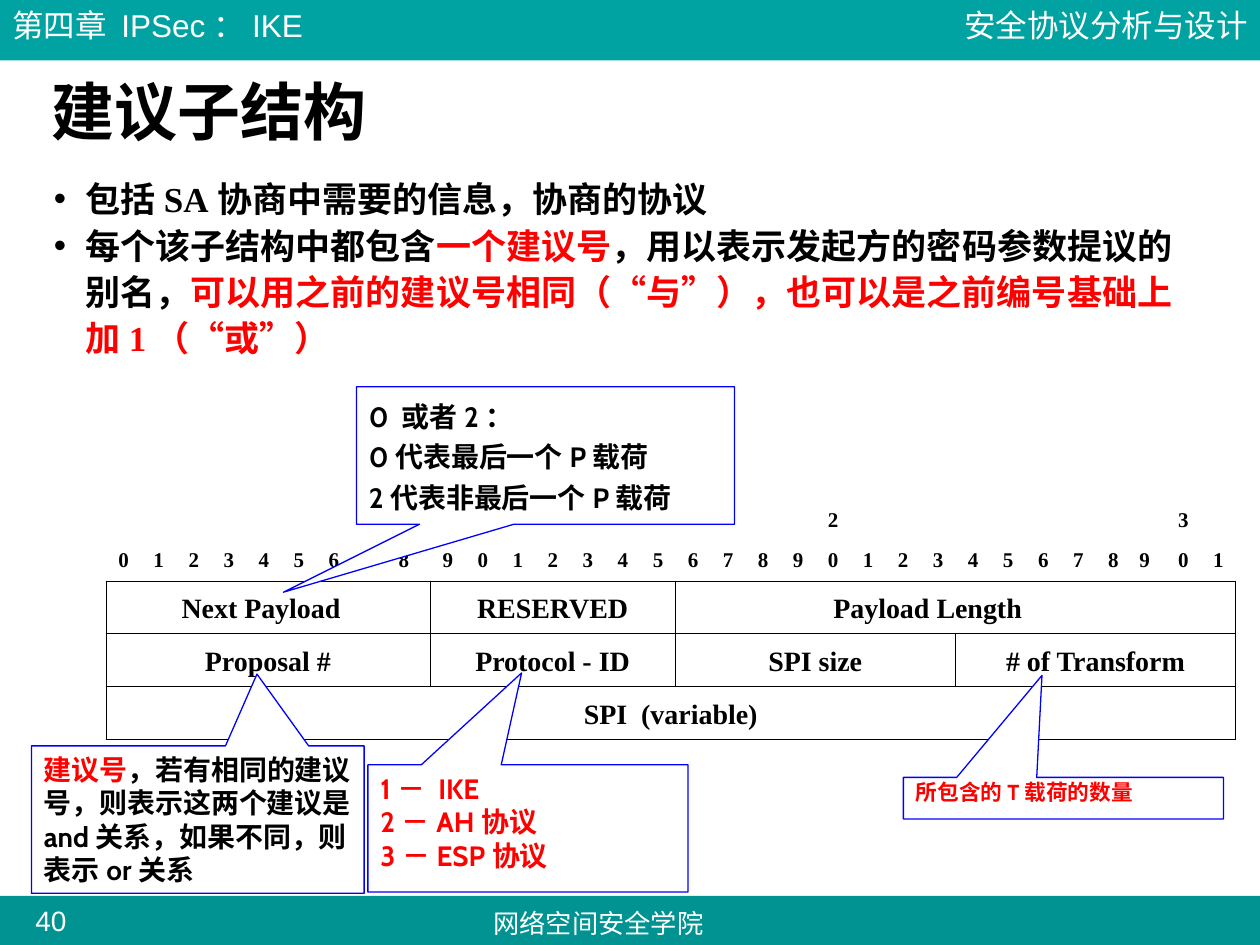
from lxml.etree import SubElement, Element
from pptx import Presentation
from pptx.dml.color import RGBColor
from pptx.enum.shapes import MSO_SHAPE
from pptx.enum.text import MSO_ANCHOR, PP_ALIGN
from pptx.oxml.ns import qn
from pptx.util import Inches, Pt

SERIF, SANS, ROUND = "Times New Roman", "Arial", "Cabin"
BLACK, WHITE, RED, BLUE = "000000", "FFFFFF", "FF0000", "0000FF"
INSETS = (0.1, 0.05, 0.1, 0.05)
BITS = 32


def color(value):
    return RGBColor.from_string(value)


def add_bullet(para, indent):
    props = para._p.get_or_add_pPr()
    props.set("marL", str(Inches(indent)))
    props.set("indent", str(-Inches(indent)))
    SubElement(SubElement(props, qn("a:buClr")), qn("a:srgbClr"), val=BLACK)
    SubElement(props, qn("a:buFont"), typeface=SANS)
    SubElement(props, qn("a:buChar"), char="•")


def write(frame, paragraphs, size=16, font=SERIF, fill=BLACK, bold=True,
          align=PP_ALIGN.LEFT, spacing=None, after=None, bullet=None):
    """Each paragraph is a string or a list of (text, overrides) spans."""
    for index, spans in enumerate(paragraphs):
        para = frame.paragraphs[0] if index == 0 else frame.add_paragraph()
        para.alignment = align
        if spacing:
            para.line_spacing = spacing
        if after:
            para.space_after = Pt(after)
        if bullet:
            add_bullet(para, bullet)
        for text, changes in [(spans, {})] if isinstance(spans, str) else spans:
            span = para.add_run()
            span.text = text
            span.font.size = Pt(size)
            span.font.bold = bold
            span.font.name = changes.get("font", font)
            span.font.color.rgb = color(changes.get("fill", fill))


def set_insets(target, insets=INSETS):
    (target.margin_left, target.margin_top,
     target.margin_right, target.margin_bottom) = map(Inches, insets)


def add_text(page, box, paragraphs, insets=INSETS, anchor=MSO_ANCHOR.TOP, **style):
    frame = page.shapes.add_textbox(*map(Inches, box)).text_frame
    frame.word_wrap = True
    frame.vertical_anchor = anchor
    set_insets(frame, insets)
    write(frame, paragraphs, **style)


def add_bar(page, box, fill):
    bar = page.shapes.add_shape(MSO_SHAPE.RECTANGLE, *map(Inches, box))
    bar.shadow.inherit = False
    bar.fill.solid()
    bar.fill.fore_color.rgb = color(fill)
    bar.line.fill.background()


# Header and footer bands
def add_header(page, box):
    left, top, width, height = box
    add_bar(page, box, "00A3A1")
    label = 3.08
    style = dict(size=18, font=SANS, fill=WHITE, bold=False)
    add_text(page, (left, top, label, 0.4), ["第四章 IPSec：IKE"], **style)
    add_text(page, (left + width - label, top, label, 0.4), ["安全协议分析与设计"],
             align=PP_ALIGN.RIGHT, **style)


def add_footer(page, box):
    left, top, width, height = box
    add_bar(page, box, "009391")
    style = dict(font=SANS, fill=WHITE, bold=False, align=PP_ALIGN.CENTER)
    add_text(page, (left + 3.58, top + 0.04, 2.34, 0.35), ["网络空间安全学院"],
             size=15, **style)
    add_text(page, (left + 0.14, top + 0.06, 0.53, 0.27), ["40"],
             insets=(0, 0, 0, 0), size=16, **style)


# Bit layout of the proposal payload
def set_borders(cell, visible):
    props = cell._tc.get_or_add_tcPr()
    for index, side in enumerate("LRTB"):
        edge = Element(qn(f"a:ln{side}"), w=str(Pt(0.45)))
        if side in visible:
            SubElement(SubElement(edge, qn("a:solidFill")), qn("a:srgbClr"), val=BLACK)
        else:
            SubElement(edge, qn("a:noFill"))
        props.insert(index, edge)


def add_field(table, row, first, length, text, extra_right=0):
    cell = table.cell(row, first)
    if length > 1:
        cell.merge(table.cell(row, first + length - 1))
    header = row < 2
    left, top, right, bottom = INSETS
    set_insets(cell, (left, top, right + extra_right, bottom))
    if header:
        align = PP_ALIGN.RIGHT if length > 1 else PP_ALIGN.LEFT
    else:
        align = PP_ALIGN.CENTER
    write(cell.text_frame, [text], size=12 if header else 16,
          align=align, spacing=1.2, after=1.5 if header else 2)


def add_payload_table(page, box):
    heights = [0.34, 0.34, 0.42, 0.42, 0.42]
    table = page.shapes.add_table(len(heights), BITS, *map(Inches, box)).table
    table.first_row = table.horz_banding = False
    for column in table.columns:
        column.width = Inches(box[2] / BITS)
    for index, change in ((28, -0.03), (29, 0.03)):
        table.columns[index].width += Inches(change)
    for row, height in enumerate(heights):
        table.rows[row].height = Inches(height)
        for bit in range(BITS):
            cell = table.cell(row, bit)
            cell.fill.background()
            cell.vertical_anchor = MSO_ANCHOR.BOTTOM if row == 0 else MSO_ANCHOR.TOP
            set_borders(cell, ("", "B")[row] if row < 2 else "LRTB")
            # Empty cells keep a small line height
            SubElement(cell.text_frame.paragraphs[0]._p, qn("a:endParaRPr"), sz="1200")

    fields = [(0, 0, 11, "1"), (0, 20, 1, "2"), (0, 30, 1, "3")]
    fields += [(1, bit, 1, str(bit % 10)) for bit in range(BITS)]
    fields += [
        (2, 0, 9, "Next Payload", 0.11), (2, 9, 7, "RESERVED"),
        (2, 16, 16, "Payload Length", 0.44),
        (3, 0, 9, "Proposal #"), (3, 9, 7, "Protocol - ID"),
        (3, 16, 8, "SPI size"), (3, 24, 8, "# of Transform"),
        (4, 0, 32, "SPI  (variable)"),
    ]
    for field in fields:
        add_field(table, *field)


# Callouts pointing at the fields
def add_callout(page, box, tip, paragraphs, **style):
    left, top, width, height = box
    callout = page.shapes.add_shape(MSO_SHAPE.RECTANGULAR_CALLOUT, *map(Inches, box))
    callout.shadow.inherit = False
    callout.adjustments[0] = (tip[0] - left) / width - 0.5
    callout.adjustments[1] = (tip[1] - top) / height - 0.5
    callout.fill.solid()
    callout.fill.fore_color.rgb = color(WHITE)
    callout.line.color.rgb = color(BLUE)
    callout.line.width = Pt(0.75)
    frame = callout.text_frame
    frame.word_wrap = True
    frame.vertical_anchor = MSO_ANCHOR.TOP
    set_insets(frame)
    write(frame, paragraphs, font=ROUND, **style)


def main():
    deck = Presentation()
    deck.slide_width, deck.slide_height = Inches(10), Inches(7.5)
    page = deck.slides.add_slide(deck.slide_layouts[6])
    red = {"fill": RED}

    add_footer(page, (0, 7.11, 10, 0.42))
    add_header(page, (0, 0, 10, 0.48))
    add_text(page, (0.31, 0.58, 9.02, 0.67), ["建议子结构"], size=36,
             spacing=0.9, anchor=MSO_ANCHOR.MIDDLE)
    add_text(page, (0.33, 1.33, 9.34, 1.58), [
        "包括SA协商中需要的信息，协商的协议",
        [("每个该子结构中都包含", {}), ("一个建议号", red),
         ("，用以表示发起方的密码参数提议的别名，", {}),
         ("可以用之前的建议号相同（“与”），也可以是之前编号基础上加1（“或”）", red)],
    ], size=20, spacing=1.1, bullet=0.25)

    add_payload_table(page, (0.84, 3.93, 8.9, 1.94))

    add_callout(page, (2.92, 6.07, 2.54, 1.01), (4.14, 5.34), [
        [("1", {}), ("－ ", {"font": SERIF}), ("IKE", {})],
        "2－AH协议", "3－ESP协议"], fill=RED)
    add_callout(page, (0.25, 5.92, 2.64, 1.17), (2.04, 5.35), [
        [("建议号", red),
         ("，若有相同的建议号，则表示这两个建议是and关系，如果不同，则表示or关系", {})]])
    add_callout(page, (2.83, 3.07, 3, 1.09), (2.25, 4.7), [
        "0 或者2：", "0代表最后一个P载荷", "2代表非最后一个P载荷"], spacing=1.2)
    add_callout(page, (7.17, 6.17, 2.54, 0.33), (8.27, 5.36),
                ["所包含的T载荷的数量"], size=12.4, fill=RED, spacing=0.8)
    deck.save("out.pptx")


if __name__ == "__main__":
    main()
